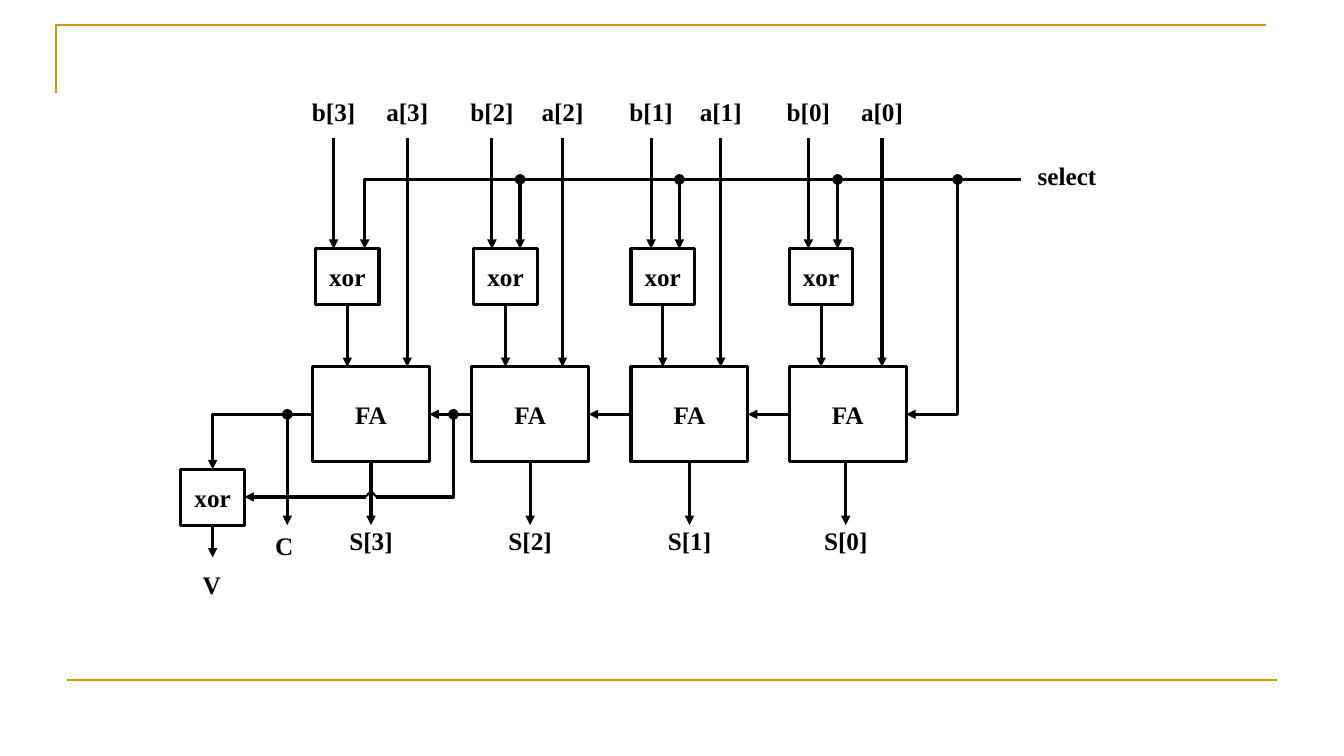
from pptx import Presentation
from pptx.dml.color import RGBColor
from pptx.enum import shapes, text
from pptx.oxml import parse_xml
from pptx.oxml.ns import nsdecls, qn
from pptx.util import Pt

BLACK = RGBColor(0, 0, 0)
WHITE = RGBColor(255, 255, 255)
GOLD = RGBColor(0xCC, 0x99, 0x00)
FONT = "Times New Roman"

# bit, then the x of: b input, a input, select tap, xor left, adder left, sum output
BITS = [
    (3, 238.3, 290.9, 260.6, 225.4, 223.2, 265),
    (2, 351.4, 401.8, 371.5, 338.4, 337, 378.7),
    (1, 465.1, 514.8, 485.3, 450.7, 450.7, 492.5),
    (0, 577.4, 630, 598.3, 563.8, 563.8, 604.1),
]
FRAME_CORNER = [(40.3, 66.2), (40.3, 18), (904.3, 18)]
FOOT_LINE = (48.2, 486, 912.2, 486)

XOR_W, XOR_H = 45.4, 39.9
ADDER_W, ADDER_H = 83.5, 67.7
INPUT_Y, SELECT_Y, XOR_Y, ADDER_Y = 98.6, 128.2, 177.8, 262.1
CARRY_Y = ADDER_Y + ADDER_H / 2
SUM_Y = 375.1
LABEL_Y, SUM_LABEL_Y, LABEL_H = 65.5, 371.5, 28.8

CARRY_IN_X, SELECT_END_X = 684, 729.4
OVERFLOW_LEFT, OVERFLOW_Y, OVERFLOW_END_Y = 129.2, 335.2, 398.2
OVERFLOW_X = OVERFLOW_LEFT + XOR_W / 2
CARRY_OUT_X, CARRY_TAP_X, CARRY_TAP_Y = 205.2, 323.9, 355
DOT = 6.6

# words, centre x, top, width
OUTER_LABELS = [
    ("select", 762.2, 110.9, 56.9),
    ("C", 203, 375.1, 27.4),
    ("V", 151.2, 403.2, 27.4),
]

prs = Presentation()
prs.slide_width, prs.slide_height = Pt(960), Pt(540)
slide = prs.slides.add_slide(prs.slide_layouts[6])
parts = slide.shapes


def write(shape, words):
    frame = shape.text_frame
    frame.word_wrap = False
    paragraph = frame.paragraphs[0]
    paragraph.alignment = text.PP_ALIGN.CENTER
    run = paragraph.add_run()
    run.text = words
    run.font.name, run.font.size, run.font.bold = FONT, Pt(18), True
    run.font.color.rgb = BLACK


def label(words, center_x, top, width=46):
    write(parts.add_textbox(Pt(center_x - width / 2), Pt(top), Pt(width), Pt(LABEL_H)), words)


def gate(words, left, top, width, height):
    box = parts.add_shape(shapes.MSO_SHAPE.RECTANGLE, Pt(left), Pt(top), Pt(width), Pt(height))
    box.shadow.inherit = False
    box.fill.background()
    box.line.color.rgb, box.line.width = BLACK, Pt(2.25)
    box.text_frame.vertical_anchor = text.MSO_ANCHOR.MIDDLE
    write(box, words)


def dot(x, y, color=BLACK):
    joint = parts.add_shape(shapes.MSO_SHAPE.OVAL, Pt(x - DOT / 2), Pt(y - DOT / 2), Pt(DOT), Pt(DOT))
    joint.shadow.inherit = False
    joint.fill.solid()
    joint.fill.fore_color.rgb = color
    joint.line.color.rgb, joint.line.width = color, Pt(1)


def wire(x1, y1, x2, y2, arrow="tailEnd", bent=False, color=BLACK, weight=2.25):
    """Draw a line; a bent one runs horizontally from its start, then vertically."""
    kind = shapes.MSO_CONNECTOR.ELBOW if bent else shapes.MSO_CONNECTOR.STRAIGHT
    line = parts.add_connector(kind, Pt(x1), Pt(y1), Pt(x2), Pt(y2))
    line.line.color.rgb, line.line.width = color, Pt(weight)
    properties = line._element.spPr
    if bent:
        properties.find(qn("a:prstGeom")).set("prst", "bentConnector2")
    if arrow:
        head = parse_xml(f'<a:{arrow} {nsdecls("a")} type="triangle"/>')
        properties.find(qn("a:ln")).append(head)
    properties.append(parse_xml(f'<a:effectLst {nsdecls("a")}/>'))


# Slide frame
outline = parts.build_freeform(Pt(FRAME_CORNER[0][0]), Pt(FRAME_CORNER[0][1]))
outline.add_line_segments([(Pt(x), Pt(y)) for x, y in FRAME_CORNER[1:]], close=False)
corner = outline.convert_to_shape()
corner.shadow.inherit = False
corner.fill.background()
corner.line.color.rgb, corner.line.width = GOLD, Pt(1.5)
wire(*FOOT_LINE, arrow=None, color=GOLD, weight=1.5)

# One full-adder stage per bit
left_adder_right = None
for bit, b_x, a_x, tap_x, xor_left, adder_left, sum_x in BITS:
    gate("xor", xor_left, XOR_Y, XOR_W, XOR_H)
    gate("FA", adder_left, ADDER_Y, ADDER_W, ADDER_H)
    xor_x = xor_left + XOR_W / 2
    wire(b_x, INPUT_Y, b_x, XOR_Y)
    wire(a_x, INPUT_Y, a_x, ADDER_Y)
    wire(xor_x, XOR_Y + XOR_H, xor_x, ADDER_Y)
    wire(sum_x, ADDER_Y + ADDER_H, sum_x, SUM_Y)
    if left_adder_right is not None:
        wire(adder_left, CARRY_Y, left_adder_right, CARRY_Y)
        wire(tap_x, SELECT_Y, tap_x, XOR_Y)
        dot(tap_x, SELECT_Y)
    left_adder_right = adder_left + ADDER_W
    label(f"b[{bit}]", b_x, LABEL_Y)
    label(f"a[{bit}]", a_x, LABEL_Y)
    label(f"S[{bit}]", sum_x, SUM_LABEL_Y)

# Select line, which is also the first carry in
_, _, _, first_tap_x, _, first_adder_left, first_sum_x = BITS[0]
wire(SELECT_END_X, SELECT_Y, CARRY_IN_X, SELECT_Y, arrow=None)
wire(CARRY_IN_X, SELECT_Y, first_tap_x, XOR_Y, bent=True)
wire(left_adder_right, CARRY_Y, CARRY_IN_X, SELECT_Y, arrow="headEnd", bent=True)
dot(CARRY_IN_X, SELECT_Y)

# Carry out and overflow
gate("xor", OVERFLOW_LEFT, OVERFLOW_Y, XOR_W, XOR_H)
wire(first_adder_left, CARRY_Y, OVERFLOW_X, OVERFLOW_Y, bent=True)
wire(OVERFLOW_LEFT + XOR_W, CARRY_TAP_Y, CARRY_TAP_X, CARRY_Y, arrow="headEnd", bent=True)
dot(CARRY_TAP_X, CARRY_Y)
dot(first_sum_x, CARRY_TAP_Y)
dot(first_sum_x, CARRY_TAP_Y + 2.2, WHITE)
wire(first_sum_x, CARRY_TAP_Y - 3.6, first_sum_x, CARRY_TAP_Y + 7.9, arrow=None)
wire(OVERFLOW_X, OVERFLOW_Y + XOR_H, OVERFLOW_X, OVERFLOW_END_Y)
dot(CARRY_OUT_X, CARRY_Y)
wire(CARRY_OUT_X, CARRY_Y, CARRY_OUT_X, SUM_Y)

for outer_label in OUTER_LABELS:
    label(*outer_label)

prs.save("out.pptx")
